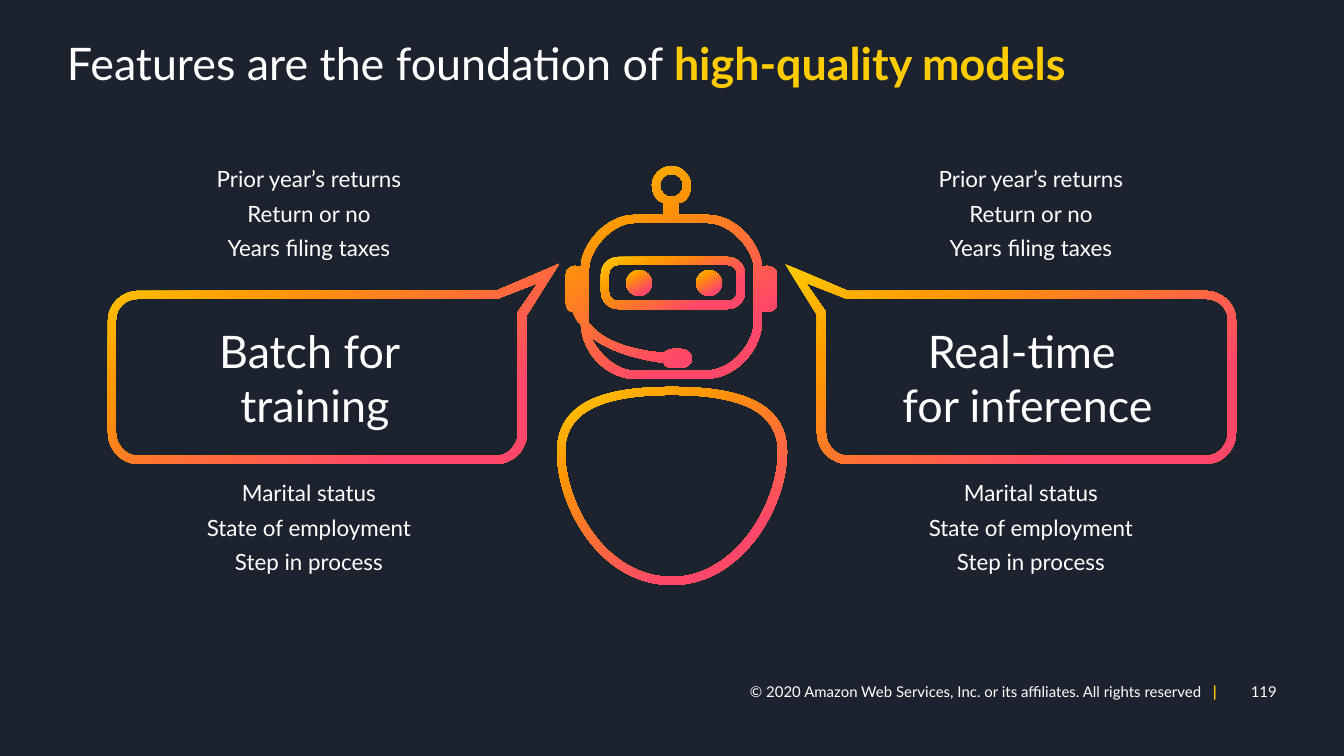
import lxml.etree
import pptx
import pptx.dml.color
import pptx.enum.text
import pptx.oxml.ns
import pptx.util

EMU_PER_PX = 914400 / 134.4
WIDTH, HEIGHT = 1344, 756
BACKGROUND, WHITE, YELLOW = "1C232F", "FFFFFF", "FFCC00"
GRADIENT = [(0, "FFCC00"), (26, "FF9900"), (77, "FF4869")]
ALIGN = pptx.enum.text.PP_ALIGN
ANCHOR = pptx.enum.text.MSO_ANCHOR
qn = pptx.oxml.ns.qn

HEAD = [
    (210, 100), (208, 100, 207, 101, 205, 101), (204, 79, 180, 49, 151, 49), (122, 49),
    (122, 37), (130, 36, 134, 28, 134, 19), (134, 9, 124, 0, 115, 0),
    (104, 0, 95, 9, 95, 19), (95, 28, 100, 36, 107, 37), (107, 49), (77, 49),
    (49, 49, 24, 79, 24, 101), (22, 101, 20, 100, 18, 100), (13, 100, 9, 104, 9, 108),
    (9, 138), (9, 142, 12, 146, 16, 146), (17, 150, 20, 155, 24, 159),
    (25, 186, 49, 213, 79, 213), (147, 213), (180, 213, 205, 183, 205, 155),
    (205, 146), (207, 146, 208, 146, 210, 146), (216, 146, 220, 143, 220, 138),
    (220, 108), (220, 104, 216, 100, 210, 100),
]
FACE = [
    (197, 155), (197, 178, 175, 205, 147, 205), (79, 205), (60, 205, 42, 189, 34, 171),
    (48, 182, 71, 192, 107, 197), (107, 200, 111, 202, 116, 202), (124, 202),
    (130, 202, 135, 198, 135, 193), (135, 187, 130, 183, 124, 183), (116, 183),
    (111, 183, 108, 186, 107, 187), (61, 183, 41, 169, 32, 157),
    (32, 157, 32, 156, 32, 155), (32, 103), (32, 84, 55, 57, 77, 57), (151, 57),
    (174, 57, 197, 84, 197, 103),
]
BODY_OUTSIDE = [
    (115, 419), (43, 419, 0, 341, 0, 286), (0, 228, 64, 221, 115, 221),
    (164, 221, 230, 228, 230, 286), (230, 341, 185, 419, 115, 419),
]
BODY_INSIDE = [
    (115, 229), (41, 229, 8, 248, 8, 286), (8, 337, 48, 411, 115, 411),
    (179, 411, 221, 337, 221, 286), (221, 248, 188, 229, 115, 229),
]
BUBBLE_OUTSIDE = [
    (421, 200), (63, 200), (46, 200, 32, 186, 32, 169), (32, 51), (0, 0), (63, 27),
    (421, 27), (437, 27, 451, 40, 451, 56), (451, 169), (451, 186, 437, 200, 421, 200),
]
BUBBLE_INSIDE = [
    (21, 19), (41, 48), (41, 169), (41, 181, 51, 192, 63, 192), (421, 192),
    (433, 192, 443, 181, 443, 169), (443, 56), (443, 44, 433, 35, 421, 35), (62, 35),
]


def px(value):
    """Turn pixels into EMU."""
    return pptx.util.Emu(round(value * EMU_PER_PX))


def color(value):
    """Turn a hex string into a colour."""
    return pptx.dml.color.RGBColor.from_string(value)


def set_values(target, values):
    """Set each named attribute of an object."""
    for name, value in values.items():
        setattr(target, name, value)


def format_frame(frame, anchor=ANCHOR.TOP, margins=(0, 0)):
    """Set wrapping, anchor and margins of a text frame."""
    side, end = map(px, margins)
    set_values(frame, {
        "word_wrap": True, "auto_size": pptx.enum.text.MSO_AUTO_SIZE.NONE,
        "vertical_anchor": anchor, "margin_left": side, "margin_right": side,
        "margin_top": end, "margin_bottom": end,
    })


def write(paragraph, text, size, hue=WHITE, bold=False):
    """Append formatted text, with line breaks between its lines."""
    for index, line in enumerate(text.split("\n")):
        if index:
            paragraph.add_line_break()
        run = paragraph.add_run()
        run.text = line
        set_values(run.font, {"name": "Lato", "size": pptx.util.Pt(size), "bold": bold})
        run.font.color.rgb = color(hue)


def add_text(slide, box, lines, size, align=ALIGN.CENTER, gap=0, **frame_format):
    """Add a text box with one paragraph for each string and return its frame."""
    frame = slide.shapes.add_textbox(*map(px, box)).text_frame
    format_frame(frame, **frame_format)
    for index, text in enumerate(lines):
        paragraph = frame.add_paragraph() if index else frame.paragraphs[0]
        paragraph.alignment = align
        if index:
            paragraph.space_before = pptx.util.Pt(gap)
        write(paragraph, text, size)
    return frame


def rounded(left, top, right, bottom, radius):
    """Return the contour of a rounded rectangle."""
    k = radius * 0.45
    return [
        (left + radius, top), (right - radius, top),
        (right - k, top, right, top + k, right, top + radius), (right, bottom - radius),
        (right, bottom - k, right - k, bottom, right - radius, bottom),
        (left + radius, bottom),
        (left + k, bottom, left, bottom - k, left, bottom - radius), (left, top + radius),
        (left, top + k, left + k, top, left + radius, top),
    ]


def circle(left, top, size):
    """Return the contour of a circle."""
    contour = rounded(left, top, left + size, top + size, size / 2)
    return contour[:1] + [step for step in contour if len(step) == 6]


def apply_gradient(shape):
    """Fill a shape with the warm gradient and remove its line."""
    shape.shadow.inherit = False
    shape.line.fill.background()
    shape.fill.gradient()
    gradient = shape._element.spPr.find(qn("a:gradFill"))
    stops = gradient.find(qn("a:gsLst"))
    for stop in list(stops):
        stops.remove(stop)
    for position, hue in GRADIENT:
        stop = lxml.etree.SubElement(stops, qn("a:gs"), pos=str(position * 1000))
        lxml.etree.SubElement(stop, qn("a:srgbClr"), val=hue)
    gradient.find(qn("a:lin")).set("ang", str(60 * 60000))


def add_outline(slide, left, top, contours, mirror_width=None):
    """Add one gradient shape made of closed contours with true curves."""
    def place(step):
        """Place the points of one step on the slide."""
        return [
            (px(left + (x if mirror_width is None else mirror_width - x)), px(top + y))
            for x, y in zip(step[::2], step[1::2])]

    placed = [[place(step) for step in contour] for contour in contours]
    builder = slide.shapes.build_freeform(*placed[0][0][0], scale=1.0)
    for index, contour in enumerate(placed):
        if index:
            builder.move_to(*contour[0][0])
        builder.add_line_segments([step[-1] for step in contour[1:]], close=False)
        builder.add_line_segments([], close=True)
    shape = builder.convert_to_shape()
    steps = [step for contour in placed for step in contour[1:]]
    for line, step in zip(list(shape._element.iter(qn("a:lnTo"))), steps):
        if len(step) == 3:
            curve = lxml.etree.Element(qn("a:cubicBezTo"))
            for x, y in step:
                lxml.etree.SubElement(
                    curve, qn("a:pt"), x=str(x - shape.left), y=str(y - shape.top))
            line.getparent().replace(line, curve)
    apply_gradient(shape)


def add_title(slide, box):
    """Place the title and highlight its ending."""
    title = slide.shapes.title
    set_values(title, dict(zip(("left", "top", "width", "height"), map(px, box))))
    format_frame(title.text_frame)
    paragraph = title.text_frame.paragraphs[0]
    set_values(paragraph, {"alignment": ALIGN.LEFT, "line_spacing": 0.9})
    write(paragraph, "Features are the foundation of ", 24)
    write(paragraph, "high-quality models", 24, YELLOW, True)


def add_robot(slide, left, top):
    """Draw the robot from its visor to its body."""
    add_outline(slide, left, top, [rounded(44, 91, 188, 143, 17), rounded(52, 99, 180, 135, 9)])
    for eye in (69, 139):
        add_outline(slide, left, top, [circle(eye, 104, 26)])
    add_outline(slide, left, top, [HEAD, circle(103, 8, 23), FACE])
    add_outline(slide, left, top, [BODY_OUTSIDE, BODY_INSIDE])


def add_bubble(slide, left, top, label, label_box, lists_left, mirror_width=None):
    """Draw a speech bubble with its label and the lists above and below."""
    add_outline(slide, left, top, [BUBBLE_OUTSIDE, BUBBLE_INSIDE], mirror_width)
    x, y, width, height = label_box
    add_text(slide, (left + x, top + y, width, height), [label], 24, margins=(13, 7))
    lists = [
        (-106, ["Prior year’s returns", "Return or no", "Years filing taxes"]),
        (208, ["Marital status", "State of employment", "Step in process"]),
    ]
    for offset, lines in lists:
        add_text(slide, (left + lists_left, top + offset, 310, 110), lines, 12,
                 gap=4.2, margins=(1, 7))


def add_footer(slide, top, height):
    """Write the page number and the copyright line with its divider."""
    add_text(slide, (1152, top, 125, height), ["119"], 8, ALIGN.RIGHT, anchor=ANCHOR.MIDDLE)
    text = "© 2020 Amazon Web Services, Inc. or its affiliates. All rights reserved"
    frame = add_text(slide, (681, top, 541, height), [], 8, anchor=ANCHOR.MIDDLE)
    frame.margin_left = px(69)
    paragraph = frame.paragraphs[0]
    paragraph.alignment = ALIGN.LEFT
    tabs = lxml.etree.SubElement(paragraph._p.get_or_add_pPr(), qn("a:tabLst"))
    lxml.etree.SubElement(tabs, qn("a:tab"), pos=str(px(463)), algn="l")
    write(paragraph, text + "\t", 8)
    write(paragraph, "|", 8, YELLOW, True)


def main():
    """Build and save the slide."""
    presentation = pptx.Presentation()
    set_values(presentation, {"slide_width": px(WIDTH), "slide_height": px(HEIGHT)})
    slide = presentation.slides.add_slide(presentation.slide_layouts[5])
    slide.background.fill.solid()
    slide.background.fill.fore_color.rgb = color(BACKGROUND)
    add_footer(slide, 680, 23)
    add_title(slide, (67, 42, 1210, 101))
    add_robot(slide, 557, 166)
    add_bubble(slide, 785, 264, "Real-time \nfor inference", (61, 53, 363, 122), 91)
    add_bubble(slide, 108, 264, "Batch for \ntraining", (69, 53, 276, 122), 46, 451)
    presentation.save("out.pptx")


if __name__ == "__main__":
    main()
